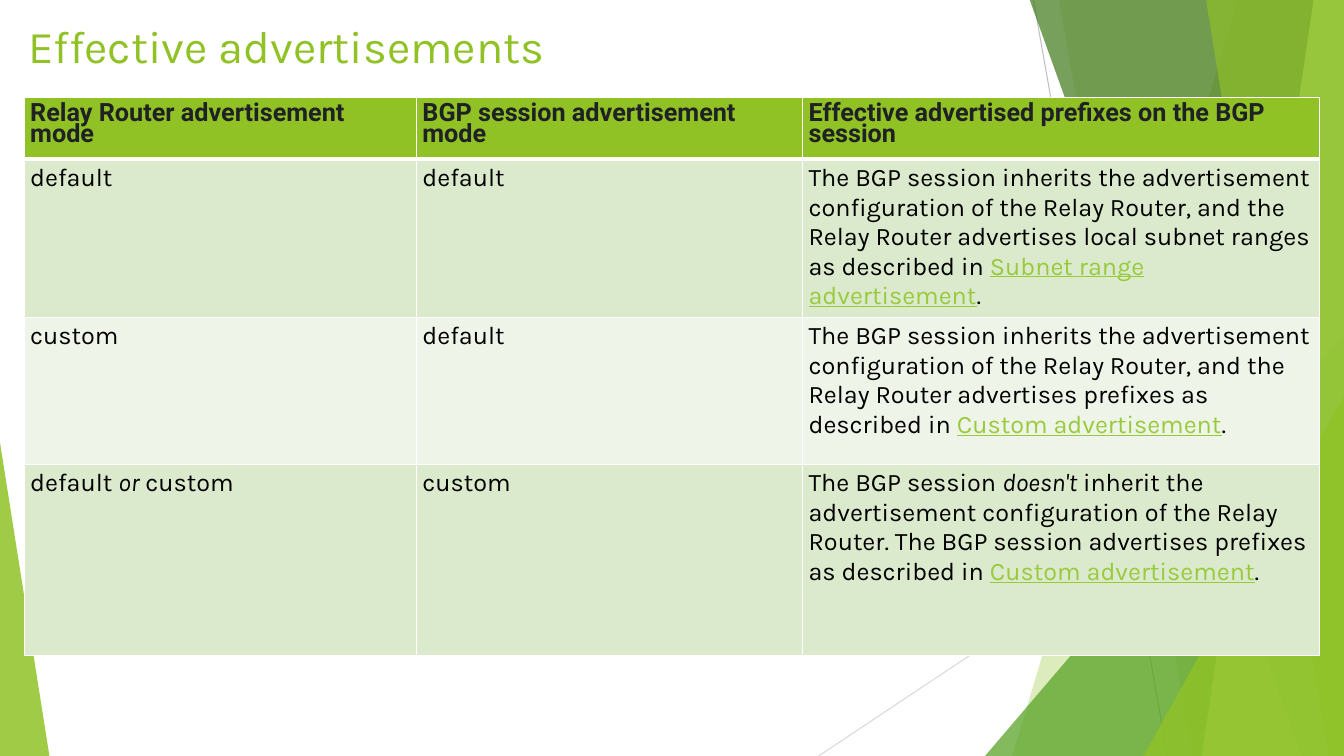
from lxml.etree import SubElement as Sub
from pptx import Presentation
from pptx.dml.color import RGBColor as RGB
from pptx.enum.shapes import MSO_CONNECTOR as Link, MSO_SHAPE as Form
from pptx.enum.text import MSO_ANCHOR as Anchor
from pptx.oxml.ns import qn
from pptx.util import Inches, Pt

WHITE = RGB(0xFF, 0xFF, 0xFF)
BLACK = RGB(0, 0, 0)
INK = RGB(0x20, 0x21, 0x24)
LIME = RGB(0x90, 0xC2, 0x26)
LEAF = RGB(0x54, 0xA0, 0x21)
MOSS = RGB(0x3F, 0x78, 0x19)
PEAR = RGB(0xC0, 0xE4, 0x74)
LINK = RGB(0x99, 0xCA, 0x3C)
MINT = RGB(0xDB, 0xE9, 0xCD)
MIST = RGB(0xEE, 0xF4, 0xE8)
GRAY = RGB(0xBF, 0xBF, 0xBF)
PALE = RGB(0xD9, 0xD9, 0xD9)
WIDE, HIGH = 13.33, 7.5

HEADS = ["Relay Router advertisement mode", "BGP session advertisement mode",
         "Effective advertised prefixes on the BGP session"]
START = ("The BGP session inherits the advertisement configuration of the "
         "Relay Router, and the Relay Router advertises ")
CUSTOM = [("Custom advertisement", "link"), (".", "")]
ROWS = [
    [[("default", "")], [("default", "")],
     [(START + "local subnet ranges as described in ", ""),
      ("Subnet range advertisement", "link"), (".", "")]],
    [[("custom", "")], [("default", "")],
     [(START + "prefixes as described in ", "")] + CUSTOM],
    [[("default ", ""), ("or", "slant"), (" custom", "")], [("custom", "")],
     [("The BGP session ", ""), ("doesn't", "slant"),
      (" inherit the advertisement configuration of the Relay Router. "
       "The BGP session advertises prefixes as described in ", "")] + CUSTOM],
]


class Deck:
    """Holds the fonts, the file and the current slide."""

    font, bold = "Karla", "Roboto"

    def __init__(self):
        self.file = Presentation()
        self.file.slide_width = Inches(WIDE)
        self.file.slide_height = Inches(HIGH)
        self.slide = self.file.slides.add_slide(self.file.slide_layouts[6])
        self.shapes = self.slide.shapes

    def line(self, start, end, color):
        ends = [Inches(v) for v in start + end]
        line = self.shapes.add_connector(Link.STRAIGHT, *ends)
        line.line.color.rgb = color
        line.line.width = Pt(0.75)
        Sub(line.element.spPr, qn("a:effectLst"))

    def paint(self, shape, color, alpha):
        shape.shadow.inherit = False
        shape.line.fill.background()
        shape.fill.solid()
        shape.fill.fore_color.rgb = color
        tint = shape.element.spPr.find(".//" + qn("a:srgbClr"))
        Sub(tint, qn("a:alpha")).set("val", str(alpha * 1000))

    def band(self, top, base, color, alpha):
        pen = self.shapes.build_freeform(Inches(top), Inches(-0.01))
        spots = [(WIDE, -0.01), (WIDE, HIGH), (base, HIGH)]
        pen.add_line_segments([(Inches(x), Inches(y)) for x, y in spots])
        self.paint(pen.convert_to_shape(), color, alpha)

    def wedge(self, left, top, width, tip, color, alpha):
        box = [Inches(v) for v in (left, top, width, HIGH - top)]
        shape = self.shapes.add_shape(Form.ISOSCELES_TRIANGLE, *box)
        shape.adjustments[0] = tip
        self.paint(shape, color, alpha)

    def run(self, para, text, size, color, kind=""):
        run = para.add_run()
        run.text = text
        font = run.font
        font.name = self.bold if kind == "head" else self.font
        font.size = Pt(size)
        font.color.rgb = color
        font.bold = kind == "head"
        font.italic = kind == "slant"
        font.underline = kind == "link"

    def title(self, text):
        box = self.shapes.add_textbox(Inches(0.18), Inches(0.13), Inches(11.72), Inches(0.84))
        frame = box.text_frame
        frame.word_wrap = True
        frame.margin_top = Inches(0.05)
        self.run(frame.paragraphs[0], text, 32.4, LIME)

    def edge(self, cell, sides):
        props = cell._tc.get_or_add_tcPr()
        for side in "LRTB":
            width = Pt(3 if side in sides else 1)
            line = Sub(props, qn("a:ln" + side), w=str(width))
            fill = Sub(line, qn("a:solidFill"))
            Sub(fill, qn("a:srgbClr"), val=str(WHITE))

    def cell(self, cell, runs, fill, pad, sides):
        self.edge(cell, sides)
        cell.fill.solid()
        cell.fill.fore_color.rgb = fill
        cell.margin_left = cell.margin_right = Inches(0.06)
        cell.margin_top, cell.margin_bottom = [Inches(v) for v in pad]
        para = cell.text_frame.paragraphs[0]
        for text, kind in runs:
            color = {"head": INK, "link": LINK}.get(kind, BLACK)
            self.run(para, text, 18, color, kind)

    def table(self, heads, rows, wides, highs):
        box = [Inches(v) for v in (0.24, 0.97, sum(wides), sum(highs))]
        table = self.shapes.add_table(len(highs), len(wides), *box).table
        for col, wide in zip(table.columns, wides):
            col.width = Inches(wide)
        for row, high in zip(table.rows, highs):
            row.height = Inches(high)
        for c, text in enumerate(heads):
            cell = table.cell(0, c)
            self.cell(cell, [(text, "head")], LIME, (0.05, 0.06), "B")
            cell.vertical_anchor = Anchor.MIDDLE
            cell.text_frame.paragraphs[0].line_spacing = Pt(15)
        for r, row in enumerate(rows, 1):
            for c, runs in enumerate(row):
                fill = MINT if r % 2 else MIST
                self.cell(table.cell(r, c), runs, fill, (0.04, 0.03),
                          "T" if r == 1 else "")


def main():
    deck = Deck()
    deck.line((10.25, 0), (11.58, HIGH), GRAY)
    deck.line((WIDE, 4.03), (8.12, HIGH), PALE)
    deck.band(12.28, 10.04, LIME, 30)
    deck.band(10.5, 11.83, LIME, 20)
    deck.wedge(9.77, 3.33, 3.56, 1, LEAF, 72)
    deck.band(10.21, 12.91, MOSS, 70)
    deck.band(13.03, 11.92, PEAR, 70)
    deck.band(11.96, 13.18, LIME, 65)
    deck.wedge(11.34, 3.93, 1.99, 1, LIME, 80)
    deck.wedge(0, 4.39, 0.49, 0, LIME, 85)
    deck.title("Effective advertisements")
    deck.table(HEADS, ROWS, [3.89, 3.83, 5.13], [0.61, 1.43, 1.46, 1.89])
    deck.file.save("out.pptx")


if __name__ == "__main__":
    main()
